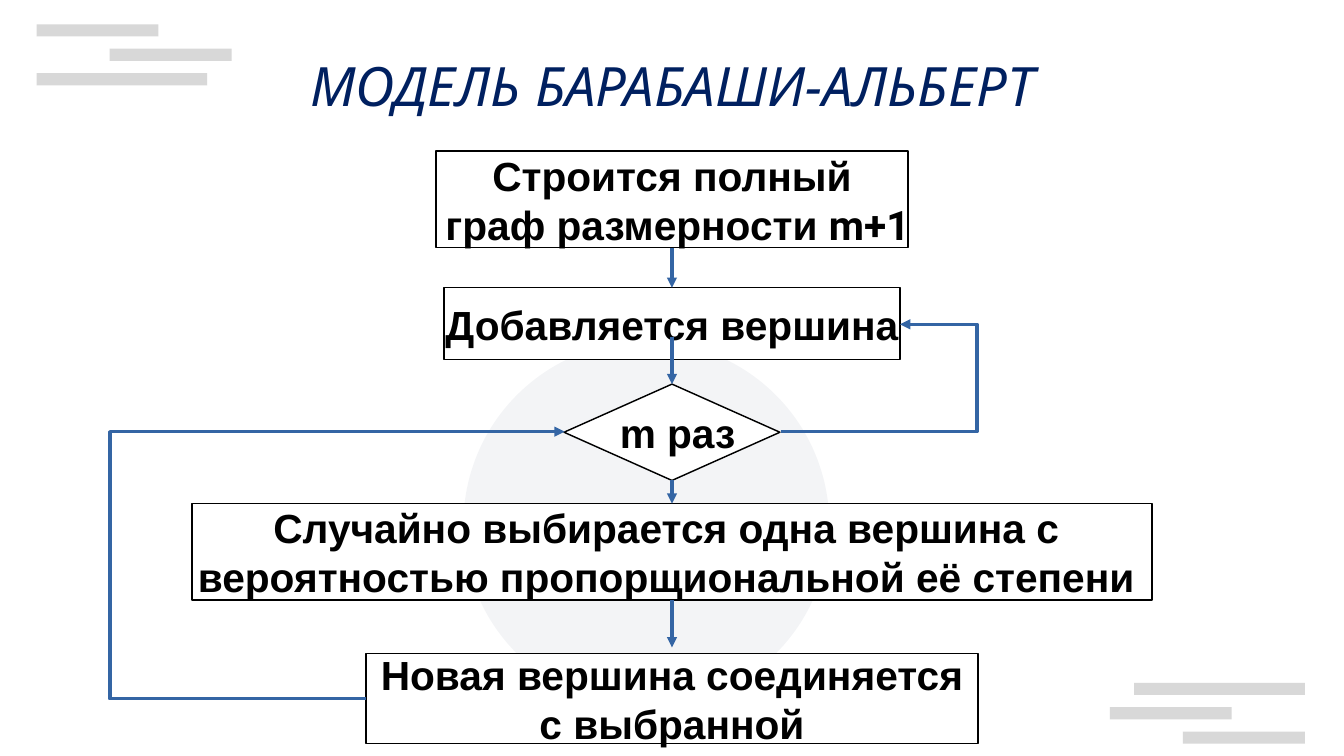
from lxml import etree
from pptx import Presentation
from pptx import util as u
from pptx.dml.color import RGBColor
from pptx.enum import shapes, text
from pptx.oxml.ns import qn

TOP, BOTTOM = 0, 2
CENTRE_X = 5.51


def color(hex_code):
    return RGBColor.from_string(hex_code)


class Flowchart:
    ink, arrow_color, paper = "000000", "3465A4", "FFFFFF"
    font, size = "Arial", 24

    def __init__(self, slide):
        self.shapes = slide.shapes

    def style_run(self, run, font, size, hex_code, bold=False, italic=False):
        run.font.name, run.font.size = font, u.Pt(size)
        run.font.bold, run.font.italic = bold, italic
        run.font.color.rgb = color(hex_code)

    def decoration(self, kind, left, top, width, height, hex_code, opacity):
        """Add a translucent background shape; opacity is in percent."""
        deco = self.shapes.add_shape(kind, *map(u.Inches, (left, top, width, height)))
        deco.shadow.inherit = False
        deco.line.fill.background()
        deco.fill.solid()
        deco.fill.fore_color.rgb = color(hex_code)
        tint = deco.fill._xPr.find(qn("a:solidFill"))[0]
        etree.SubElement(tint, qn("a:alpha")).set("val", str(opacity * 1000))

    def title(self, wording, left, top, width, height):
        heading = self.shapes.add_textbox(*map(u.Inches, (left, top, width, height)))
        heading.text_frame.word_wrap = True
        heading.text_frame.text = wording
        line = heading.text_frame.paragraphs[0]
        line.alignment = text.PP_ALIGN.CENTER
        self.style_run(line.runs[0], "Noto Sans", 32, "002060", italic=True)

    def step(self, wording, top, width, height,
             kind=shapes.MSO_SHAPE.FLOWCHART_PROCESS):
        """Add a flowchart block centred on the main axis."""
        block = self.shapes.add_shape(
            kind, *map(u.Inches, (CENTRE_X - width / 2, top, width, height)))
        block.shadow.inherit = False
        block.fill.solid()
        block.fill.fore_color.rgb = color(self.paper)
        block.line.color.rgb = color(self.ink)
        block.line.width = u.Pt(0.85)
        frame = block.text_frame
        frame.word_wrap = False
        frame.vertical_anchor = text.MSO_ANCHOR.MIDDLE
        frame.text = wording
        for line in frame.paragraphs:
            line.alignment = text.PP_ALIGN.CENTER
            for run in line.runs:
                self.style_run(run, self.font, self.size, self.ink, bold=True)
        return block

    def arrow(self, start, end, kind=shapes.MSO_CONNECTOR.STRAIGHT):
        link = self.shapes.add_connector(kind, *map(u.Inches, (*start, *end)))
        link.line.color.rgb = color(self.arrow_color)
        link.line.width = u.Pt(0)
        etree.SubElement(link.line._get_or_add_ln(), qn("a:tailEnd")).set("type", "triangle")
        etree.SubElement(link._element.spPr, qn("a:effectLst"))
        return link

    def loop(self, start, end, via_x):
        """Add an elbow arrow whose vertical part runs at via_x."""
        link = self.arrow(start, end, shapes.MSO_CONNECTOR.ELBOW)
        bend = (via_x - start[0]) / (end[0] - start[0])
        geometry = link._element.spPr.find(qn("a:prstGeom"))
        guide = etree.SubElement(geometry.find(qn("a:avLst")), qn("a:gd"))
        guide.set("name", "adj1")
        guide.set("fmla", f"val {round(bend * 100000)}")


def main():
    deck = Presentation()
    deck.slide_width, deck.slide_height = u.Inches(11.02), u.Inches(6.2)
    chart = Flowchart(deck.slides.add_slide(deck.slide_layouts[6]))

    for left, top, width in [(9.3, 5.6, 1.4), (9.1, 5.8, 1), (9.7, 6, 1),
                             (0.3, 0.6, 1.4), (0.9, 0.4, 1), (0.3, 0.2, 1)]:
        chart.decoration(shapes.MSO_SHAPE.RECTANGLE, left, top, width, 0.1, "CCCCCC", 75)
    chart.decoration(shapes.MSO_SHAPE.OVAL, 3.8, 2.8, 3, 3, "8D99AE", 10)
    chart.title("МОДЕЛЬ БАРАБАШИ-АЛЬБЕРТ", 2.06, 0.38, 6.91, 0.44)

    full_graph = chart.step("Строится полный\n граф размерности ", 1.24, 3.87, 0.79)
    graph_order = full_graph.text_frame.paragraphs[1].add_run()
    graph_order.text = "m+1"
    chart.style_run(graph_order, "Roboto", chart.size, chart.ink, bold=True)
    new_vertex = chart.step("Добавляется вершина", 2.36, 3.74, 0.59)
    repeat = chart.step(" m раз", 3.15, 1.77, 0.79, shapes.MSO_SHAPE.FLOWCHART_DECISION)
    choice = chart.step("Случайно выбирается одна вершина с \n"
                        "вероятностью пропорщиональной её степени ", 4.13, 7.87, 0.79)
    chart.step("Новая вершина соединяется\nс выбранной", 5.36, 5.02, 0.74)

    for start_y, end_y, source, target in [(2.03, 2.36, full_graph, new_vertex),
                                           (2.76, 3.15, None, repeat),
                                           (3.94, 4.13, repeat, choice),
                                           (4.92, 5.31, choice, None)]:
        link = chart.arrow((CENTRE_X, start_y), (CENTRE_X, end_y))
        if source:
            link.begin_connect(source, BOTTOM)
        if target:
            link.end_connect(target, TOP)

    chart.loop((3, 5.73), (4.63, 3.54), via_x=0.9)
    chart.loop((6.4, 3.54), (7.38, 2.66), via_x=8.01)
    deck.save("out.pptx")


if __name__ == "__main__":
    main()
